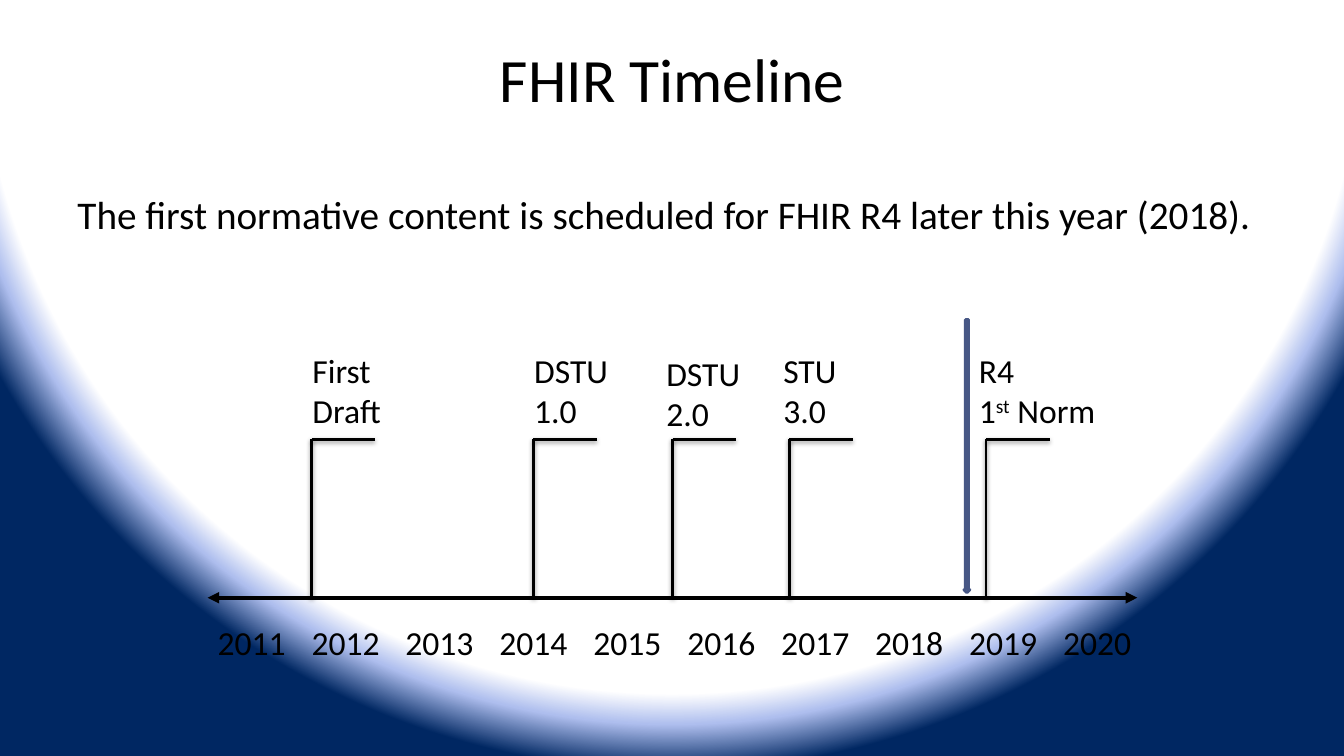
import dataclasses
import typing
import pptx
import pptx.dml.color
import pptx.enum.shapes
import pptx.enum.text
import pptx.oxml
import pptx.oxml.ns
import pptx.util

FONT = "Calibri"
BLACK, WHITE = "000000", "FFFFFF"
Run = tuple[str, bool]  # text, superscript
Box = tuple[float, float, float, float]  # percent of slide: left, top, width, height

# Shared positions, in percent of the slide's width or height
FLAG_TOP, AXIS_Y, FLAG_LENGTH = 58.13, 79.07, 4.73
AXIS_LEFT, AXIS_RIGHT = 15.45, 84.62
YEAR_PITCH = 6.99


@dataclasses.dataclass
class Milestone:
    pole: float
    label: Box
    lines: list[list[Run]]
    framed: bool = True


MILESTONES = [
    Milestone(23.18, (22.51, 45.6, 6.68, 12.13),
              [[("First", False)], [("Draft", False)]], framed=False),
    Milestone(39.68, (39.01, 45.6, 7.05, 12.13),
              [[("DSTU", False)], [("1.0", False)]]),
    Milestone(50.04, (48.84, 46, 7.05, 12.13),
              [[("DSTU", False)], [("2.0", False)]]),
    Milestone(58.74, (57.54, 45.6, 5.48, 12.13),
              [[("STU", False)], [("3.0", False)]]),
    Milestone(73.37, (72.09, 45.6, 10.43, 12.13),
              [[("R4", False)], [("1", False), ("st", True), (" Norm", False)]]),
]

prs = pptx.Presentation()
prs.slide_width = pptx.util.Inches(13.33)
prs.slide_height = pptx.util.Inches(7.5)
s = prs.slides.add_slide(prs.slide_layouts[5])


def rgb(color: str) -> pptx.dml.color.RGBColor:
    return pptx.dml.color.RGBColor.from_string(color)


def across(share: float) -> int:
    return round(prs.slide_width * share / 100)


def down(share: float) -> int:
    return round(prs.slide_height * share / 100)


def place(box: Box) -> tuple[int, int, int, int]:
    left, top, width, height = box
    return across(left), down(top), across(width), down(height)


def xml(markup: str) -> typing.Any:
    """Parse one drawing element, given without its a: namespace."""
    tag, rest = markup[1:].split(" ", 1)
    return pptx.oxml.parse_xml(f"<{tag} {pptx.oxml.ns.nsdecls('a')} {rest}")


def write(tf: typing.Any, lines: list[list[Run]], size: float, wrap: bool = False,
          align: typing.Any = pptx.enum.text.PP_ALIGN.LEFT,
          anchor: typing.Any = pptx.enum.text.MSO_ANCHOR.TOP) -> None:
    tf.word_wrap = wrap
    tf.vertical_anchor = anchor
    for i, line in enumerate(lines):
        p = tf.add_paragraph() if i else tf.paragraphs[0]
        p.alignment = align
        for text, raised in line:
            r = p.add_run()
            r.text = text
            r.font.name, r.font.size = FONT, pptx.util.Pt(size)
            r.font.color.rgb = rgb(BLACK)
            if raised:
                r.font._element.set("baseline", "30000")


def add_text(shapes: typing.Any, box: Box, lines: list[list[Run]], size: float,
             wrap: bool = False, framed: bool = False) -> None:
    if framed:
        sp = shapes.add_shape(pptx.enum.shapes.MSO_SHAPE.RECTANGLE, *place(box))
        sp.shadow.inherit = False
        sp.fill.background()
        sp.line.color.rgb = rgb(WHITE)
        sp.line.width = pptx.util.Pt(0.75)
    else:
        sp = shapes.add_textbox(*place(box))
    write(sp.text_frame, lines, size, wrap)


def add_line(shapes: typing.Any, x1: float, y1: float, x2: float, y2: float,
             width: float, arrows: bool = False) -> None:
    line = shapes.add_connector(pptx.enum.shapes.MSO_CONNECTOR.STRAIGHT,
                                across(x1), down(y1), across(x2), down(y2))
    line.line.color.rgb = rgb(BLACK)
    line.line.width = pptx.util.Pt(width)
    sp_pr = line._element.spPr
    if arrows:
        ln = sp_pr.find(pptx.oxml.ns.qn("a:ln"))
        ln.append(xml('<a:headEnd type="triangle"/>'))
        ln.append(xml('<a:tailEnd type="triangle"/>'))
        sp_pr.append(xml("<a:effectLst />"))
    else:
        sp_pr.append(xml(
            f'<a:effectLst ><a:outerShdw blurRad="{pptx.util.Pt(3.1)}" '
            f'dist="{pptx.util.Pt(1.6)}" dir="5400000" rotWithShape="0">'
            f'<a:srgbClr val="{BLACK}"><a:alpha val="38000"/></a:srgbClr>'
            "</a:outerShdw></a:effectLst>"))


# Background: circular glow centred above the slide
s.background.fill.solid()
bg = s._element.find(".//" + pptx.oxml.ns.qn("p:bgPr"))
stops = "".join(f'<a:gs pos="{pos}000"><a:srgbClr val="{color}"/></a:gs>'
                for pos, color in [(0, WHITE), (90, WHITE), (94, "AEBEEE"), (100, "002762")])
bg.replace(bg[0], xml(
    f'<a:gradFill rotWithShape="1"><a:gsLst>{stops}</a:gsLst><a:path path="circle">'
    '<a:fillToRect l="50000" t="-80000" r="50000" b="180000"/></a:path></a:gradFill>'))

# Title and statement
title = s.shapes.title
title.left, title.top, title.width, title.height = place((5.03, 4, 90.02, 12.67))
write(title.text_frame, [[("FHIR Timeline", False)]], 44, True,
      pptx.enum.text.PP_ALIGN.CENTER, pptx.enum.text.MSO_ANCHOR.MIDDLE)
add_text(s.shapes, (5.03, 24.53, 89.87, 7.6),
         [[("The first normative content is scheduled for FHIR R4 "
            "later this year (2018).", False)]], 28, wrap=True)

# Time axis with its years
add_line(s.shapes, AXIS_LEFT, AXIS_Y, AXIS_RIGHT, AXIS_Y, 2.75, arrows=True)
for i, year in enumerate(range(2011, 2021)):
    add_text(s.shapes, (AXIS_LEFT + i * YEAR_PITCH, 81.6, 6.6, 6.67),
             [[(str(year), False)]], 24)

# Milestone flags
for m in MILESTONES:
    flag = s.shapes.add_group_shape().shapes
    add_text(flag, m.label, m.lines, 24, framed=m.framed)
    add_line(flag, m.pole, FLAG_TOP, m.pole, AXIS_Y, 2)
    add_line(flag, m.pole, FLAG_TOP, m.pole + FLAG_LENGTH, FLAG_TOP, 2)

# Arrow marking the present
now = s.shapes.add_shape(pptx.enum.shapes.MSO_SHAPE.DOWN_ARROW,
                         *place((71.72, 42.27, 0.45, 36.13)))
now.shadow.inherit = False
now.fill.solid()
now.fill.fore_color.rgb = rgb("6076B4")
now.line.color.rgb = rgb("475785")
now.line.width = pptx.util.Pt(2)

prs.save("out.pptx")
